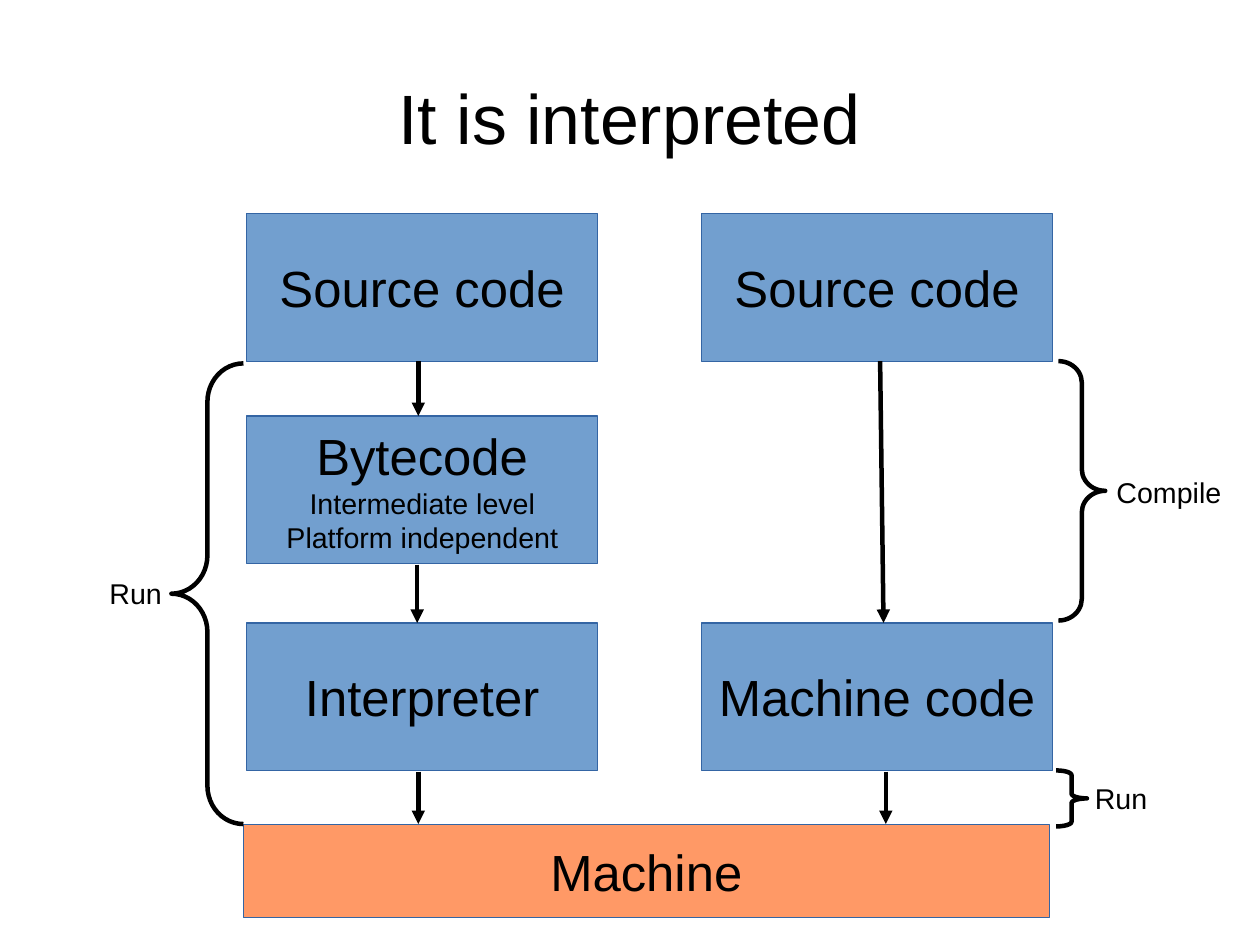
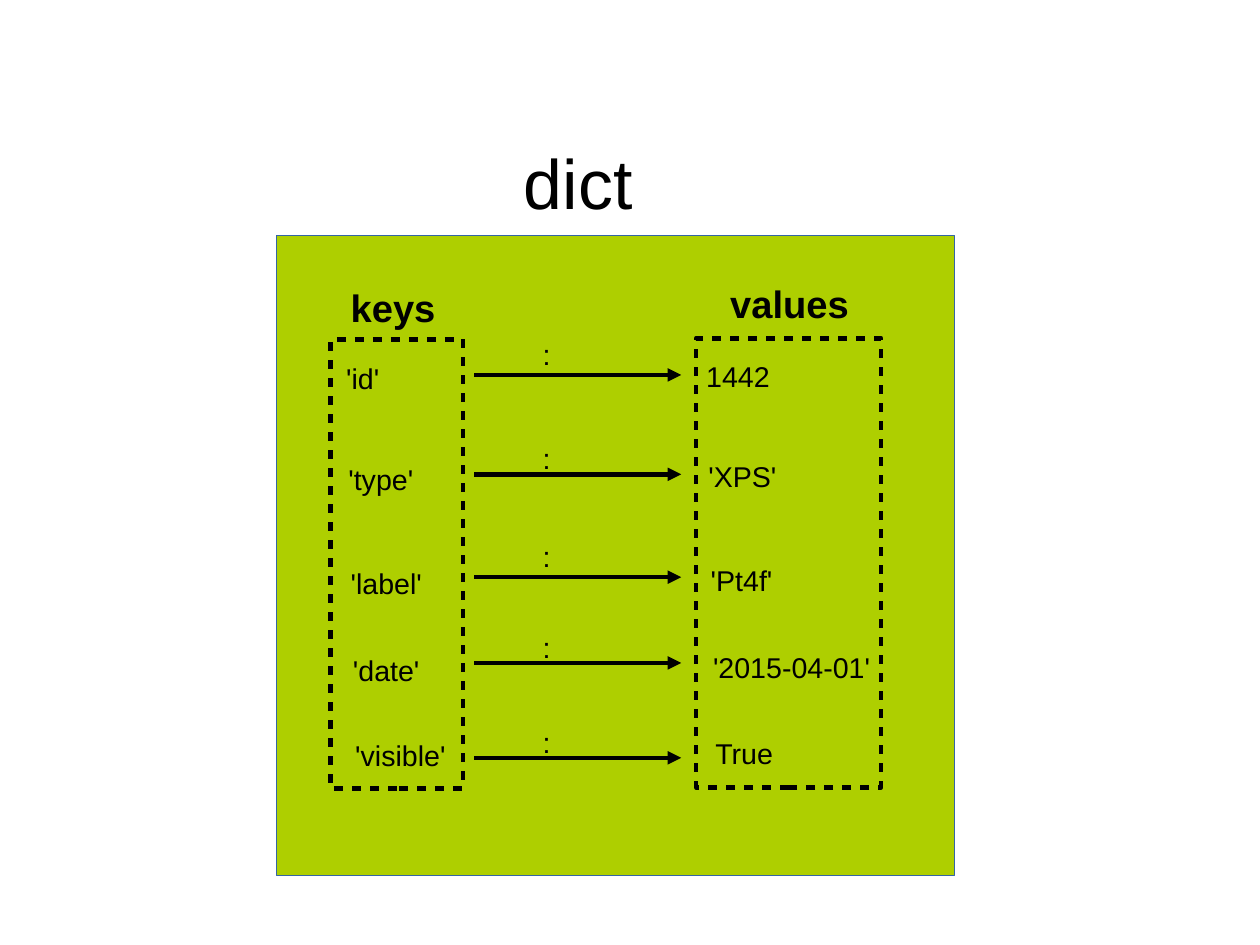
"""Build two slides: how interpreted code runs, and the structure of a dict."""
import pptx
import pptx.util
import pptx.dml.color
import pptx.enum.shapes
import pptx.enum.text
import pptx.oxml
import pptx.oxml.ns

Inches = pptx.util.Inches
Pt = pptx.util.Pt
RGBColor = pptx.dml.color.RGBColor
Shape = pptx.enum.shapes.MSO_SHAPE
Anchor = pptx.enum.text.MSO_ANCHOR
Align = pptx.enum.text.PP_ALIGN
GROW = pptx.enum.text.MSO_AUTO_SIZE.SHAPE_TO_FIT_TEXT

BLACK = RGBColor(0x00, 0x00, 0x00)
BLUE = RGBColor(0x72, 0x9F, 0xCF)
BORDER = RGBColor(0x34, 0x65, 0xA4)
ORANGE = RGBColor(0xFF, 0x99, 0x66)
GREEN = RGBColor(0xAE, 0xCF, 0x00)
STROKE = Pt(2.83)
CM_PER_INCH = 2.54
NAMESPACE = pptx.oxml.ns.nsdecls("a")

MARGINS = ("margin_left", "margin_top", "margin_right", "margin_bottom")
TITLE_FRAME = {"word_wrap": True, "vertical_anchor": Anchor.MIDDLE, **dict.fromkeys(MARGINS, 0)}
BOX_FRAME = {"word_wrap": False, "vertical_anchor": Anchor.MIDDLE}
LABEL_FRAME = {"word_wrap": True, "vertical_anchor": Anchor.TOP, "auto_size": GROW}


def write_text(shape, lines, frame_format, alignment=Align.LEFT, bold=False):
    """Write (text, size) lines into a shape."""
    frame = shape.text_frame
    for name, value in frame_format.items():
        setattr(frame, name, value)
    for index, (text, size) in enumerate(lines):
        paragraph = frame.add_paragraph() if index else frame.paragraphs[0]
        paragraph.alignment = alignment
        run = paragraph.add_run()
        run.text = text
        font_format = {"name": "Arial", "size": Pt(size), "bold": bold}
        for name, value in font_format.items():
            setattr(run.font, name, value)
        run.font.color.rgb = BLACK


def draw_shape(slide, kind, at, fill=None, line_color=BLACK, line_width=STROKE):
    """Add a preset shape, unfilled unless a fill is given."""
    shape = slide.shapes.add_shape(kind, *map(Inches, at))
    shape.shadow.inherit = False
    if fill is None:
        shape.fill.background()
    else:
        shape.fill.solid()
        shape.fill.fore_color.rgb = fill
    shape.line.color.rgb = line_color
    shape.line.width = line_width
    return shape


presentation = pptx.Presentation()
presentation.slide_width = Inches(28 / CM_PER_INCH)
presentation.slide_height = Inches(21 / CM_PER_INCH)

slides = []
for title, left, top in [("It is interpreted", 0.55, 0.33), ("dict", 0.1, 0.9)]:
    slide = presentation.slides.add_slide(presentation.slide_layouts[6])
    title_box = slide.shapes.add_textbox(Inches(left), Inches(top), Inches(9.92), Inches(1.38))
    write_text(title_box, [(title, 44)], TITLE_FRAME, Align.CENTER)
    slides.append(slide)
interpreted_slide, dict_slide = slides

LEFT_COLUMN, RIGHT_COLUMN = 2.16, 6.14
bytecode_lines = [("Bytecode", 32), ("Intermediate level", 18), ("Platform independent", 18)]
stages = [
    ((LEFT_COLUMN, 1.87, 3.07, 1.29), BLUE, [("Source code", 32)]),
    ((LEFT_COLUMN, 3.64, 3.07, 1.29), BLUE, bytecode_lines),
    ((LEFT_COLUMN, 5.45, 3.07, 1.29), BLUE, [("Interpreter", 32)]),
    ((RIGHT_COLUMN, 1.87, 3.07, 1.29), BLUE, [("Source code", 32)]),
    ((RIGHT_COLUMN, 5.45, 3.07, 1.29), BLUE, [("Machine code", 32)]),
    ((2.13, 7.21, 7.05, 0.82), ORANGE, [("Machine", 32)]),
]
for at, fill, lines in stages:
    stage = draw_shape(interpreted_slide, Shape.RECTANGLE, at, fill, BORDER, Pt(0))
    write_text(stage, lines, BOX_FRAME, Align.CENTER)

phases = [
    (Shape.RIGHT_BRACE, (9.26, 3.16, 0.41, 2.27), "Compile", (9.67, 4.11, 1.2, 0.38)),
    (Shape.RIGHT_BRACE, (9.24, 6.74, 0.27, 0.49), "Run", (9.48, 6.78, 0.7, 0.38)),
    (Shape.LEFT_BRACE, (1.5, 3.18, 0.63, 4.03), "Run", (0.86, 4.99, 0.7, 0.38)),
]
for kind, brace_at, text, label_at in phases:
    brace = draw_shape(interpreted_slide, kind, brace_at)
    brace.adjustments[0] = brace_at[3] / 12 / brace_at[2]
    label = interpreted_slide.shapes.add_textbox(*map(Inches, label_at))
    write_text(label, [(text, 18)], LABEL_FRAME)

arrows = [
    (interpreted_slide, 3.66, 3.16, 3.66, 3.64),
    (interpreted_slide, 3.65, 4.94, 3.65, 5.45),
    (interpreted_slide, 3.66, 6.75, 3.66, 7.21),
    (interpreted_slide, 7.7, 3.16, 7.73, 5.45),
    (interpreted_slide, 7.75, 6.75, 7.75, 7.21),
]

draw_shape(dict_slide, Shape.RECTANGLE, (2.42, 2.06, 5.93, 5.6), GREEN, BORDER, Pt(0))

entries = [
    ("'id'", "1442", 3.11, 2.9, 3.28),
    ("'type'", "'XPS'", 3.99, 3.81, 4.15),
    ("'label'", "'Pt4f'", 4.9, 4.67, 5.05),
    ("'date'", "'2015-04-01'", 5.66, 5.46, 5.8),
    ("'visible'", "True", 6.41, 6.29, 6.63),
]
labels = [("keys", 2.97, 2.44, 1.54, 24), ("values", 6.29, 2.4, 1.54, 24)]
for index, (key, value, key_top, colon_top, arrow_y) in enumerate(entries):
    shift = 0.02 * index
    value_width = 2.06 if len(value) > 10 else 1.54
    labels += [
        (key, 2.93 + shift, key_top, 1.54, 18),
        (":", 4.65, colon_top, 1.54, 18),
        (value, 6.08 + shift, key_top - 0.02, value_width, 18),
    ]
    arrows.append((dict_slide, 4.15, arrow_y, 5.96, arrow_y))

for text, left, top, width, size in labels:
    height = 0.47 if size == 24 else 0.38
    label = dict_slide.shapes.add_textbox(*map(Inches, (left, top, width, height)))
    write_text(label, [(text, size)], LABEL_FRAME, bold=size == 24)

for at in [(2.89, 2.97, 1.16, 3.93), (6.09, 2.96, 1.62, 3.93)]:
    dashed_frame = draw_shape(dict_slide, Shape.RECTANGLE, at)
    dash = f'<a:custDash {NAMESPACE}><a:ds d="200000" sp="200000"/></a:custDash>'
    dashed_frame.line._get_or_add_ln().append(pptx.oxml.parse_xml(dash))

for slide, *ends in arrows:
    arrow = slide.shapes.add_connector(
        pptx.enum.shapes.MSO_CONNECTOR.STRAIGHT, *map(Inches, ends))
    arrow.line.color.rgb = BLACK
    arrow.line.width = STROKE
    head = pptx.oxml.parse_xml(f'<a:tailEnd {NAMESPACE} type="triangle"/>')
    arrow.line._get_or_add_ln().append(head)
    arrow._element.spPr.append(pptx.oxml.parse_xml(f"<a:effectLst {NAMESPACE}/>"))

presentation.save("out.pptx")
